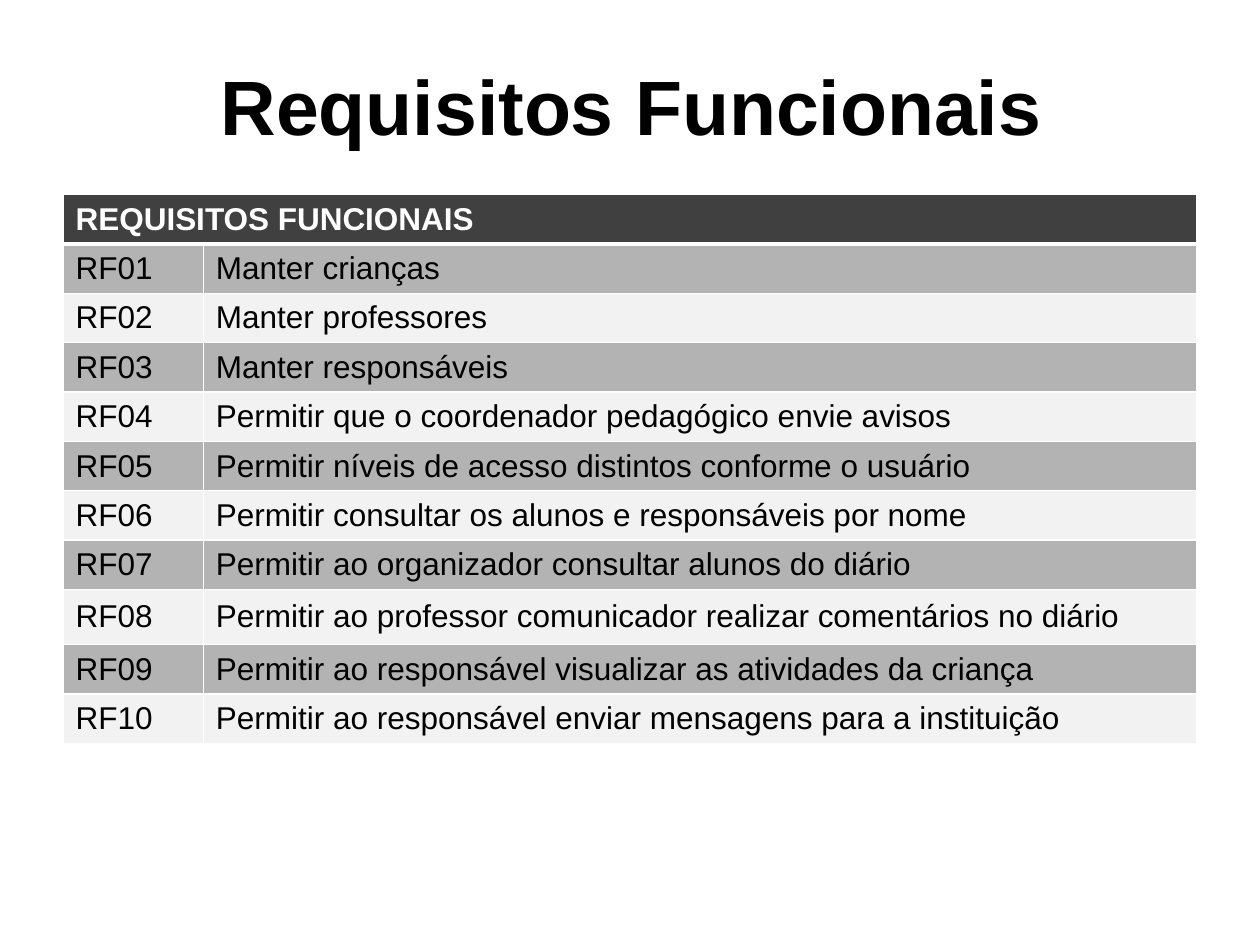
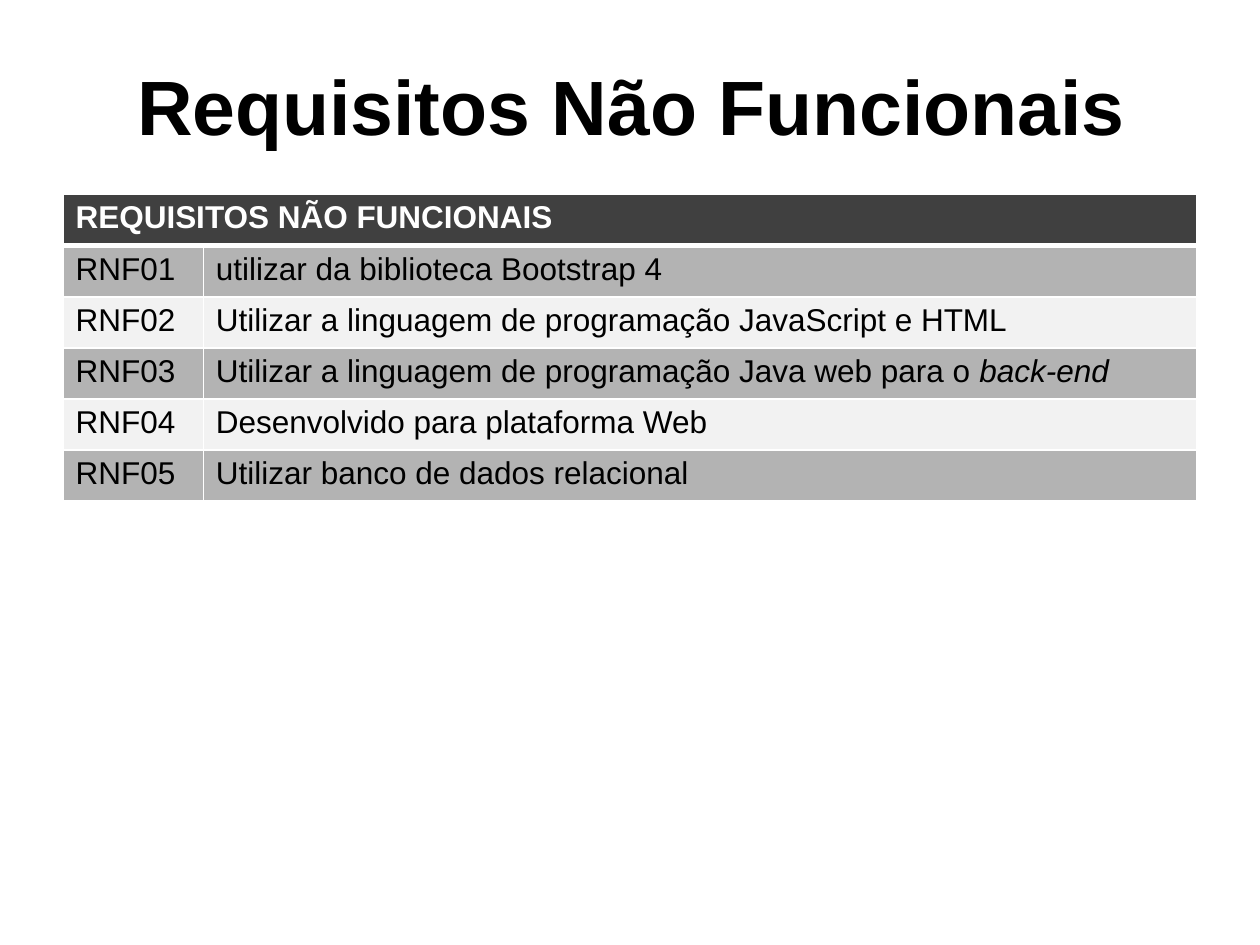
from lxml.etree import SubElement
from pptx import Presentation
from pptx.dml.color import RGBColor
from pptx.enum.text import MSO_ANCHOR, PP_ALIGN
from pptx.oxml.ns import qn
from pptx.util import Pt

BLACK = RGBColor(0x00, 0x00, 0x00)
WHITE = RGBColor(0xFF, 0xFF, 0xFF)
HEADER_FILL = RGBColor(0x40, 0x40, 0x40)
BAND_FILLS = (RGBColor(0xB3, 0xB3, 0xB3), RGBColor(0xF2, 0xF2, 0xF2))
FONT = "Arial"
TITLE_BOX = (37, 15, 648, 90)
TABLE_LEFT, TABLE_TOP, TABLE_WIDTH = 36, 111.2, 648
CODE_WIDTH = 80.2
CELL_MARGIN = 3.3

FUNCTIONAL = [
    "Manter crianças",
    "Manter professores",
    "Manter responsáveis",
    "Permitir que o coordenador pedagógico envie avisos",
    "Permitir níveis de acesso distintos conforme o usuário",
    "Permitir consultar os alunos e responsáveis por nome",
    "Permitir ao organizador consultar alunos do diário",
    "Permitir ao professor comunicador realizar comentários no diário",
    "Permitir ao responsável visualizar as atividades da criança",
    "Permitir ao responsável enviar mensagens para a instituição",
]
FUNCTIONAL_HEIGHTS = [27.4] * 5 + [28.2] + [27.4] * 2 + [31.5] + [27.4] * 2
NON_FUNCTIONAL = [
    "utilizar da biblioteca Bootstrap 4",
    "Utilizar a linguagem de programação JavaScript e HTML",
    ("Utilizar a linguagem de programação Java web para o ", "back-end"),
    "Desenvolvido para plataforma Web",
    "Utilizar banco de dados relacional",
]
NON_FUNCTIONAL_HEIGHTS = [29.2] * 6


def write_text(paragraph, text, size=18, color=BLACK, bold=False, italic=False, align=None):
    if align is not None:
        paragraph.alignment = align
    run = paragraph.add_run()
    run.text = text
    run.font.name = FONT
    run.font.size = Pt(size)
    run.font.bold = bold
    run.font.italic = italic
    run.font.color.rgb = color


def set_borders(cell, top=1, bottom=1):
    properties = cell._tc.get_or_add_tcPr()
    sides = (("a:lnL", 1), ("a:lnR", 1), ("a:lnT", top), ("a:lnB", bottom))
    for position, (tag, width) in enumerate(sides):
        line = SubElement(properties, qn(tag), w=str(Pt(width)))
        fill = SubElement(line, qn("a:solidFill"))
        SubElement(fill, qn("a:srgbClr"), val=str(WHITE))
        properties.insert(position, line)


def style_cell(cell, fill, anchor, top=1, bottom=1):
    cell.fill.solid()
    cell.fill.fore_color.rgb = fill
    cell.vertical_anchor = anchor
    cell.margin_top = cell.margin_bottom = Pt(CELL_MARGIN)
    set_borders(cell, top, bottom)


def add_title(slide, text, box):
    shape = slide.shapes.add_textbox(*map(Pt, box))
    frame = shape.text_frame
    frame.word_wrap = True
    frame.vertical_anchor = MSO_ANCHOR.MIDDLE
    write_text(frame.paragraphs[0], text, size=44, bold=True, align=PP_ALIGN.CENTER)


def add_requirements(slide, heading, prefix, descriptions, heights, anchor, box):
    table = slide.shapes.add_table(len(heights), 2, *map(Pt, box)).table
    table.first_row = False
    table.horz_banding = False
    table.columns[0].width = Pt(CODE_WIDTH)
    table.columns[1].width = Pt(box[2] - CODE_WIDTH)
    for row, height in zip(table.rows, heights):
        row.height = Pt(height)

    for cell in table.rows[0].cells:
        style_cell(cell, HEADER_FILL, anchor, bottom=3)
    header = table.cell(0, 0)
    header.merge(table.cell(0, 1))
    write_text(header.text_frame.paragraphs[0], heading, color=WHITE, bold=True)

    for number, description in enumerate(descriptions, 1):
        code_cell, description_cell = table.rows[number].cells
        for cell in (code_cell, description_cell):
            style_cell(cell, BAND_FILLS[(number - 1) % 2], anchor, top=3 if number == 1 else 1)
        write_text(code_cell.text_frame.paragraphs[0], f"{prefix}{number:02d}")
        parts = (description,) if isinstance(description, str) else description
        for position, part in enumerate(parts):
            write_text(description_cell.text_frame.paragraphs[0], part, italic=position == 1)


def add_requirements_slide(presentation, title, prefix, descriptions, heights, anchor):
    slide = presentation.slides.add_slide(presentation.slide_layouts[6])
    add_title(slide, title, TITLE_BOX)
    box = (TABLE_LEFT, TABLE_TOP, TABLE_WIDTH, sum(heights))
    add_requirements(slide, title.upper(), prefix, descriptions, heights, anchor, box)


presentation = Presentation()
presentation.slide_width = Pt(720)
presentation.slide_height = Pt(540)
add_requirements_slide(presentation, "Requisitos Funcionais", "RF", FUNCTIONAL,
                       FUNCTIONAL_HEIGHTS, MSO_ANCHOR.MIDDLE)
add_requirements_slide(presentation, "Requisitos Não Funcionais", "RNF", NON_FUNCTIONAL,
                       NON_FUNCTIONAL_HEIGHTS, MSO_ANCHOR.TOP)
presentation.save("out.pptx")
